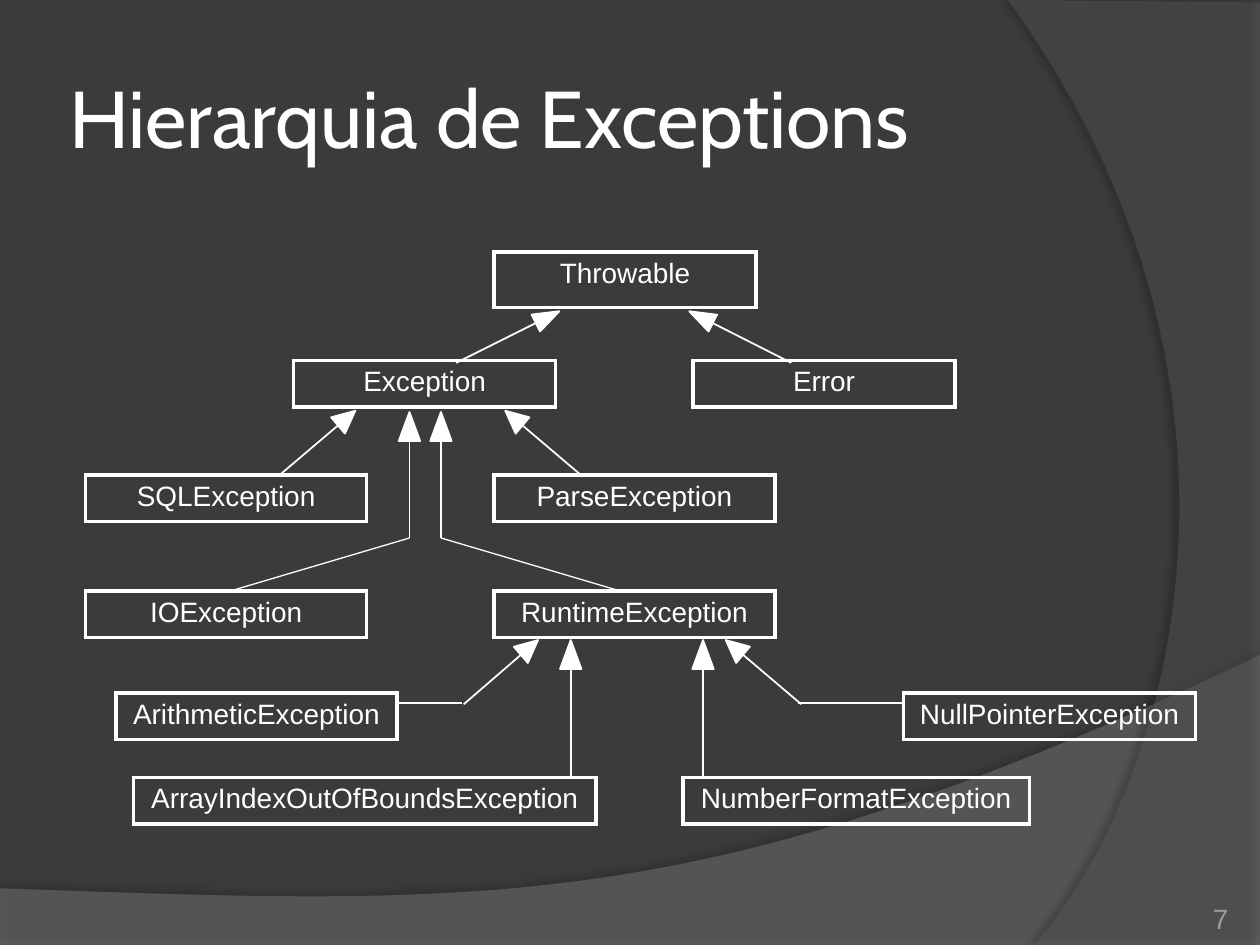
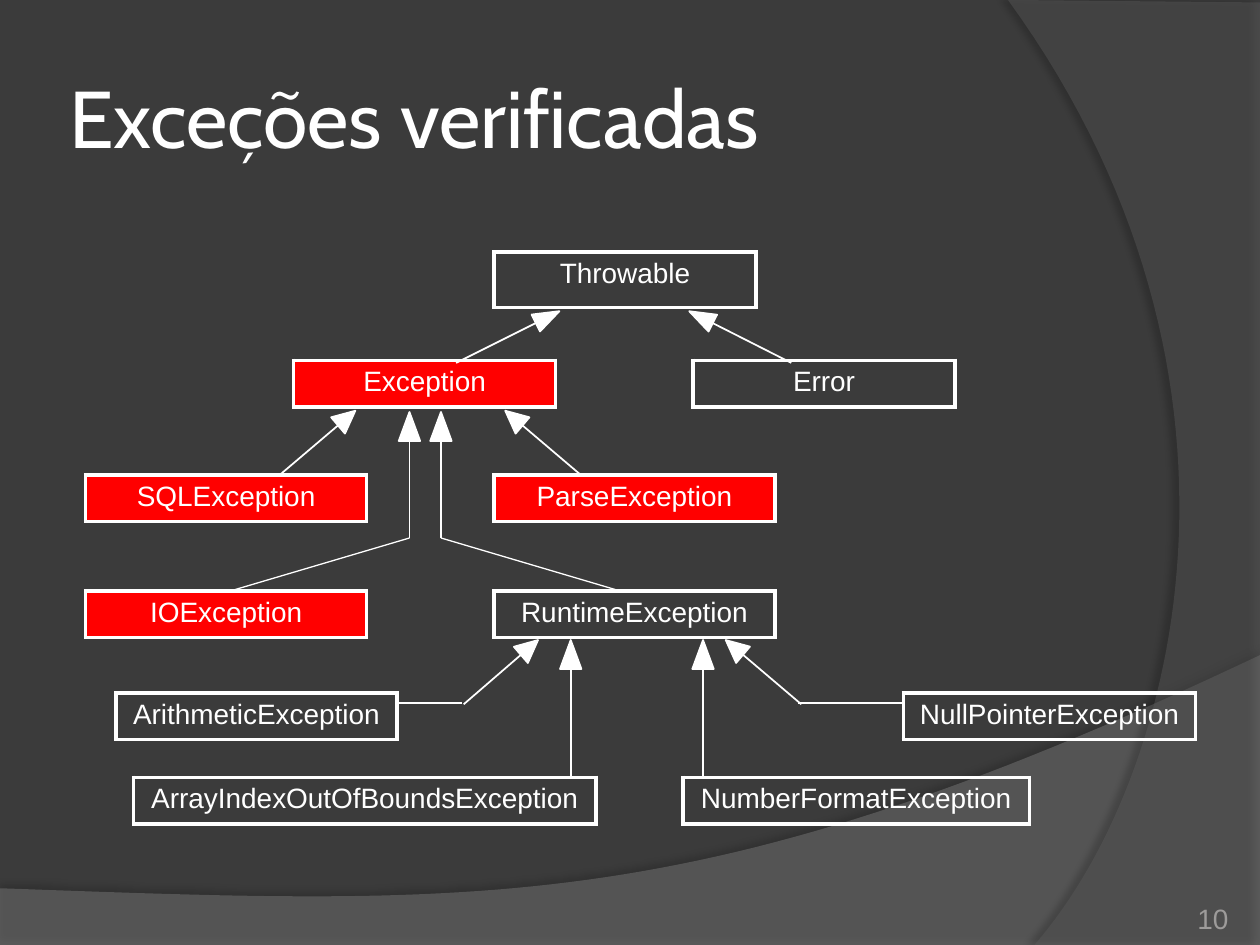
import math
from lxml import etree
from pptx import Presentation
from pptx.dml.color import RGBColor
from pptx.enum.shapes import MSO_CONNECTOR, MSO_SHAPE
from pptx.enum.text import MSO_ANCHOR, MSO_AUTO_SIZE, PP_ALIGN
from pptx.oxml import parse_xml
from pptx.oxml.ns import qn
from pptx.util import Inches, Pt

STRAIGHT, TRIANGLE = MSO_CONNECTOR.STRAIGHT, MSO_SHAPE.ISOSCELES_TRIANGLE
LEFT, CENTER, RIGHT = PP_ALIGN.LEFT, PP_ALIGN.CENTER, PP_ALIGN.RIGHT
MIDDLE, BOTTOM = MSO_ANCHOR.MIDDLE, MSO_ANCHOR.BOTTOM
NO_FIT = MSO_AUTO_SIZE.NONE
A_NS = "http://schemas.openxmlformats.org/drawingml/2006/main"
WHITE, DARK, RED, GREY = "FFFFFF", "3B3B3B", "FF0000", "9D9B9A"

# Content: title, page number, highlighted classes
SLIDES = [
    ("Hierarquia de Exceptions", "7", ()),
    ("Exceções verificadas", "10",
     ("Exception", "SQLException", "IOException", "ParseException")),
]

# Class boxes: name, left, top, width
CLASSES = [
    ("Throwable", 3.92, 2, 2.08),
    ("Error", 5.5, 2.86, 2.08),
    ("Exception", 2.33, 2.86, 2.08),
    ("SQLException", 0.68, 3.77, 2.23),
    ("IOException", 0.68, 4.69, 2.23),
    ("ParseException", 3.92, 3.77, 2.23),
    ("RuntimeException", 3.92, 4.69, 2.23),
    ("ArrayIndexOutOfBoundsException", 1.06, 6.17, 3.67),
    ("ArithmeticException", 0.92, 5.5, 2.23),
    ("NumberFormatException", 5.42, 6.17, 2.75),
    ("NullPointerException", 7.17, 5.5, 2.32),
]
BOX_HEIGHT, ROOT_HEIGHT = 0.37, 0.44

# Inheritance arrows: tail, tip, head size (width, length)
STEEP, DIAGONAL, FLAT = (0.17, 0.23), (0.17, 0.18), (0.15, 0.21)
ARROWS = [
    ((3.62, 2.88), (4.44, 2.47), FLAT),
    ((6.28, 2.88), (5.47, 2.47), FLAT),
    ((2.22, 3.77), (2.82, 3.26), DIAGONAL),
    ((4.61, 3.77), (4.01, 3.26), DIAGONAL),
    ((3.25, 4.27), (3.25, 3.27), STEEP),
    ((3.5, 4.27), (3.5, 3.27), STEEP),
    ((3.68, 5.59), (4.27, 5.08), DIAGONAL),
    ((6.36, 5.59), (5.76, 5.08), DIAGONAL),
    ((4.53, 6.17), (4.53, 5.08), STEEP),
    ((5.58, 6.17), (5.58, 5.08), STEEP),
]
# Plain lines that lead from a box to an arrow's tail
LEADERS = [
    ((3.25, 4.27), (1.83, 4.69)),
    ((3.5, 4.27), (4.92, 4.69)),
    ((6.33, 5.58), (7.17, 5.58)),
    ((3.17, 5.58), (3.67, 5.58)),
]

# Background bands: straight corners, curve control points, fill, opacity,
# shadow opacity, shadow distance (pt), shadow direction (degrees)
BANDS = [
    ([(0, 7.05), (0, 7.5), (10, 7.5), (10, 5.2)],
     [(10, 5.2), (5.59, 7.29), (3.91, 7.19), (0, 7.05)],
     "7F7F7F", 45, 35, 3.5, 270),
    ([(10, 0.02), (10, 7.5), (8.21, 7.5)],
     [(8.21, 7.5), (9.35, 6.19), (10.18, 3), (8, 0)],
     "5E5E5E", 40, 45, 4, 180),
]


def rgb(color):
    return RGBColor.from_string(color)


def solid(fill, color):
    fill.solid()
    fill.fore_color.rgb = rgb(color)


def style_text(p, size, font, color, align):
    p.alignment = align
    p.font.size = Pt(size)
    p.font.name = font
    p.font.color.rgb = rgb(color)


def bezier(points, steps=60):
    """Points along a cubic curve, without its start."""
    for i in range(1, steps + 1):
        t = i / steps
        weights = ((1 - t) ** 3, 3 * t * (1 - t) ** 2, 3 * t * t * (1 - t), t ** 3)
        yield tuple(sum(w * pt[axis] for w, pt in zip(weights, points))
                    for axis in (0, 1))


def add_band(shapes, corners, curve, color, opacity, shade, distance, direction):
    outline = [(Inches(x), Inches(y)) for x, y in corners + list(bezier(curve))]
    builder = shapes.build_freeform(*outline[0])
    builder.add_line_segments(outline[1:], close=True)
    s = builder.convert_to_shape()
    solid(s.fill, color)
    s.line.fill.background()
    spPr = s.element.spPr
    alpha = etree.SubElement(spPr.find(".//" + qn("a:srgbClr")), qn("a:alpha"))
    alpha.set("val", str(opacity * 1000))
    spPr.append(parse_xml(
        f'<a:effectLst xmlns:a="{A_NS}"><a:outerShdw blurRad="{Pt(4)}" '
        f'dist="{Pt(distance)}" dir="{direction * 60000}" algn="ctr" rotWithShape="0">'
        f'<a:srgbClr val="000000"><a:alpha val="{shade * 1000}"/></a:srgbClr>'
        '</a:outerShdw></a:effectLst>'))
    return s


def add_line(shapes, start, end, width):
    line = shapes.add_connector(STRAIGHT, *(Inches(v) for v in start + end))
    line.line.color.rgb = rgb(WHITE)
    line.line.width = Pt(width)
    etree.SubElement(line.element.spPr, qn("a:effectLst"))


def add_arrow(shapes, tail, tip, head):
    """A line with a large triangular head turned along it."""
    group = shapes.add_group_shape().shapes
    width, length = head
    dx, dy = tip[0] - tail[0], tip[1] - tail[1]
    angle = math.atan2(dx, -dy)
    ux, uy = math.sin(angle), -math.cos(angle)
    cx, cy = tip[0] - ux * length / 2, tip[1] - uy * length / 2
    s = group.add_shape(TRIANGLE, Inches(cx - width / 2), Inches(cy - length / 2),
                        Inches(width), Inches(length))
    s.rotation = math.degrees(angle)
    s.shadow.inherit = False
    solid(s.fill, WHITE)
    s.line.color.rgb = rgb(WHITE)
    s.line.width = Pt(1)
    add_line(group, (tip[0] - ux * length, tip[1] - uy * length), tail, 1)


def add_class_box(shapes, name, left, top, width, highlighted):
    height = ROOT_HEIGHT if name == "Throwable" else BOX_HEIGHT
    table = shapes.add_table(1, 1, Inches(left), Inches(top),
                             Inches(width), Inches(height)).table
    table.first_row = table.horz_banding = False
    cell = table.cell(0, 0)
    cell.text = name
    style_text(cell.text_frame.paragraphs[0], 16, "Arial", WHITE, CENTER)
    if highlighted:
        solid(cell.fill, RED)
    else:
        cell.fill.background()
    tcPr = cell.fill._xPr
    for i, side in enumerate("LRTB"):
        tcPr.insert(i, parse_xml(
            f'<a:ln{side} xmlns:a="{A_NS}" w="{Pt(2.25)}"><a:solidFill>'
            f'<a:srgbClr val="{WHITE}"/></a:solidFill></a:ln{side}>'))


def set_title(s, text):
    s.left, s.top, s.width, s.height = (Inches(v) for v in (0.5, 0.3, 8.17, 1.25))
    tf = s.text_frame
    tf.text = text
    tf.auto_size = NO_FIT
    tf.vertical_anchor = MIDDLE
    tf.margin_left = tf.margin_right = tf.margin_top = tf.margin_bottom = Inches(0.05)
    style_text(tf.paragraphs[0], 46, "Cabin", WHITE, LEFT)


def add_page_number(shapes, number):
    tf = shapes.add_textbox(Inches(8.92), Inches(7.02),
                            Inches(0.83), Inches(0.4)).text_frame
    tf.text = number
    tf.word_wrap = True
    tf.vertical_anchor = BOTTOM
    tf.margin_left = tf.margin_right = tf.margin_top = tf.margin_bottom = 0
    style_text(tf.paragraphs[0], 16, "Arial", GREY, RIGHT)


def add_hierarchy_slide(prs, title, number, highlighted):
    slide = prs.slides.add_slide(prs.slide_layouts[5])
    set_title(slide.shapes.title, title)
    for name, left, top, width in CLASSES:
        add_class_box(slide.shapes, name, left, top, width, name in highlighted)
    for arrow in ARROWS:
        add_arrow(slide.shapes, *arrow)
    for start, end in LEADERS:
        add_line(slide.shapes, start, end, 0.75)
    add_page_number(slide.shapes, number)
    return slide


def main():
    prs = Presentation()
    prs.slide_width, prs.slide_height = Inches(10), Inches(7.5)
    for content in SLIDES:
        slide = add_hierarchy_slide(prs, *content)

    # Shared background: drawn once, then moved to the back of the master
    master = prs.slide_master
    solid(master.background.fill, DARK)
    for i, band in enumerate(BANDS):
        s = add_band(slide.shapes, *band)
        master.shapes.element.insert(2 + i, s.element)
    prs.save("out.pptx")


if __name__ == "__main__":
    main()
